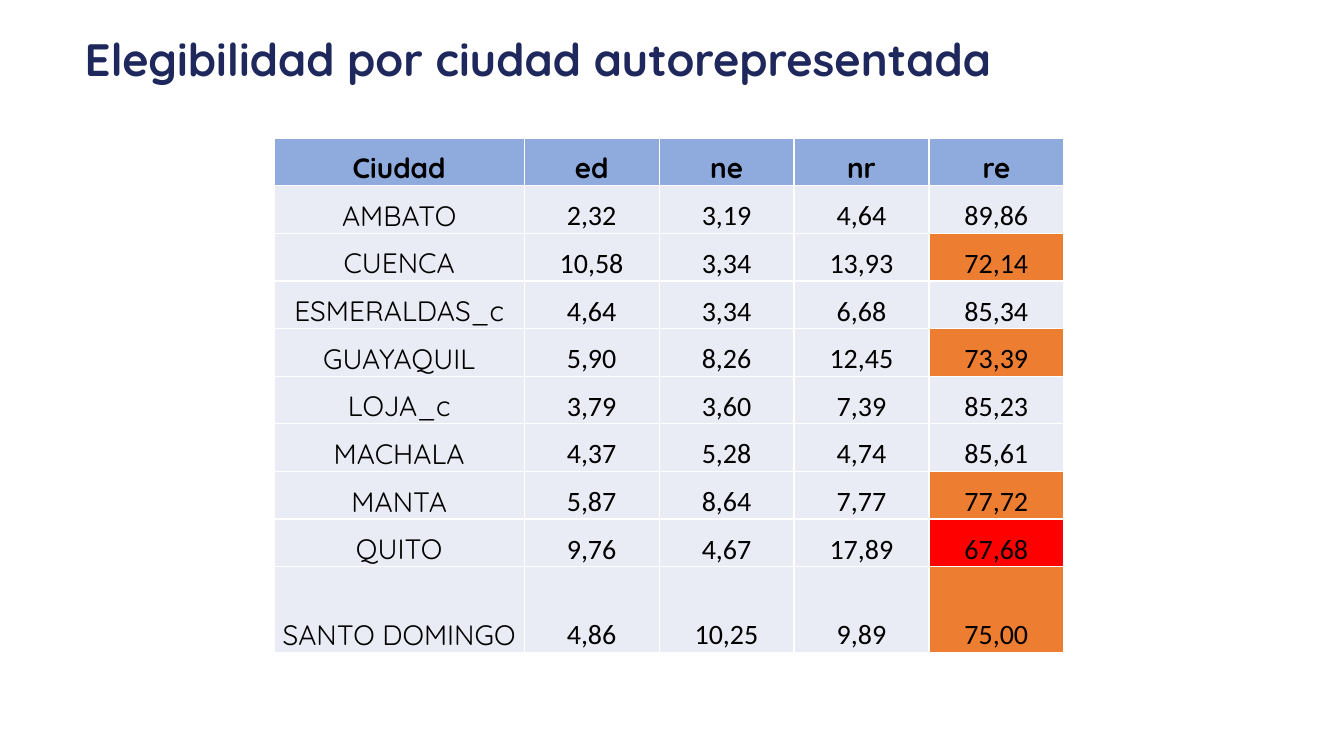
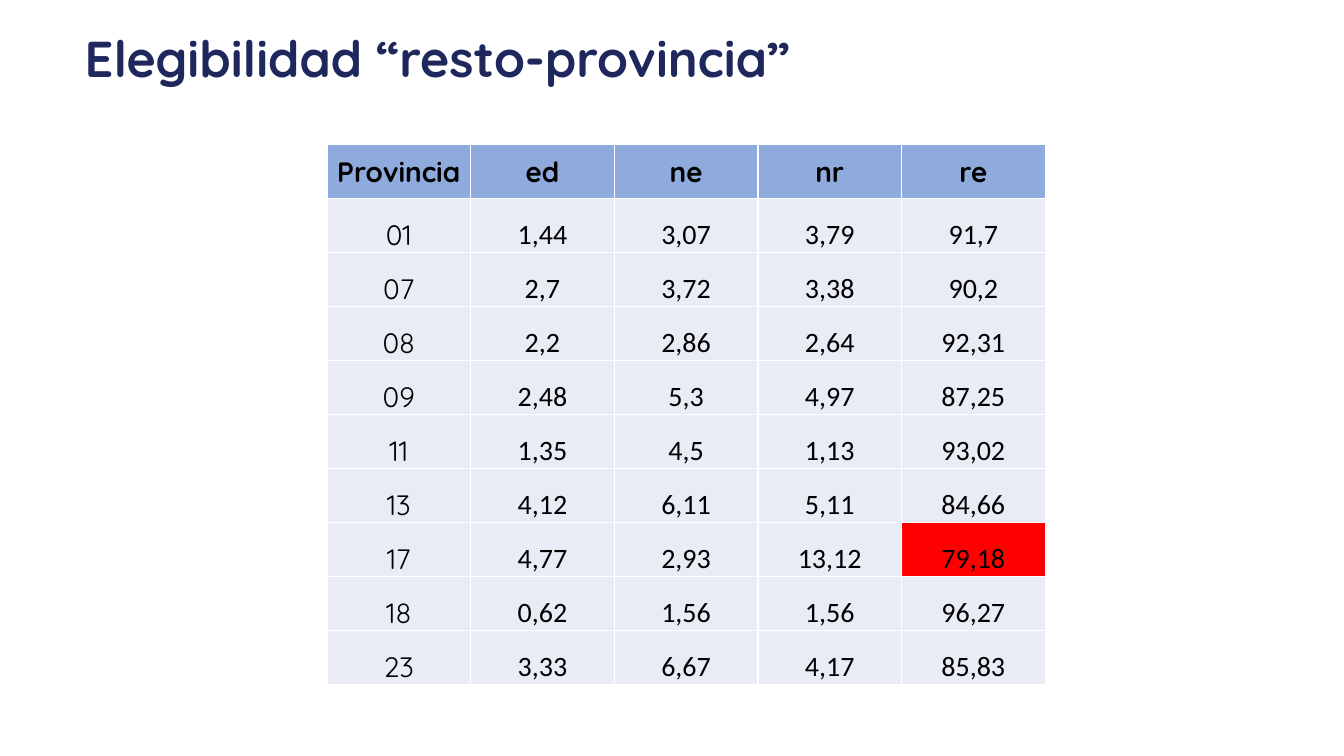
from dataclasses import dataclass

from lxml.etree import SubElement
from pptx import Presentation
from pptx.dml.color import RGBColor as Rgb
from pptx.enum.text import MSO_ANCHOR as Anchor, MSO_AUTO_SIZE as AutoSize, PP_ALIGN as Align
from pptx.oxml.ns import qn
from pptx.util import Cm, Pt


@dataclass(frozen=True)
class Theme:
    title: str = "1F285D"
    text: str = "000000"
    header: str = "8FAADC"
    body: str = "E9EBF5"
    low: str = "ED7D31"
    lowest: str = "FF0000"
    border: str = "FFFFFF"
    heading_font: str = "Quicksand"
    number_font: str = "Calibri"
    table_size: int = 20
    border_width: int = 1


theme = Theme()
LOW_LIMIT = 80  # response rates below this are highlighted

# Slide contents; lengths in centimetres
slides = [
    {
        "title": "Elegibilidad por ciudad autorepresentada",
        "title_size": 32.4,
        "left": 6.91, "top": 3.48,
        "widths": [6.3] + [3.4] * 4,
        "heights": [1.2] * 9 + [2.16],
        "header_anchor": Anchor.BOTTOM,
        "rows": [
            ("Ciudad", "ed", "ne", "nr", "re"),
            ("AMBATO", "2,32", "3,19", "4,64", "89,86"),
            ("CUENCA", "10,58", "3,34", "13,93", "72,14"),
            ("ESMERALDAS_c", "4,64", "3,34", "6,68", "85,34"),
            ("GUAYAQUIL", "5,90", "8,26", "12,45", "73,39"),
            ("LOJA_c", "3,79", "3,60", "7,39", "85,23"),
            ("MACHALA", "4,37", "5,28", "4,74", "85,61"),
            ("MANTA", "5,87", "8,64", "7,77", "77,72"),
            ("QUITO", "9,76", "4,67", "17,89", "67,68"),
            ("SANTO DOMINGO", "4,86", "10,25", "9,89", "75,00"),
        ],
    },
    {
        "title": "Elegibilidad “resto-provincia”",
        "title_size": 36,
        "left": 8.24, "top": 3.64,
        "widths": [3.62] * 5,
        "heights": [1.36] * 10,
        "header_anchor": Anchor.MIDDLE,
        "rows": [
            ("Provincia", "ed", "ne", "nr", "re"),
            ("01", "1,44", "3,07", "3,79", "91,7"),
            ("07", "2,7", "3,72", "3,38", "90,2"),
            ("08", "2,2", "2,86", "2,64", "92,31"),
            ("09", "2,48", "5,3", "4,97", "87,25"),
            ("11", "1,35", "4,5", "1,13", "93,02"),
            ("13", "4,12", "6,11", "5,11", "84,66"),
            ("17", "4,77", "2,93", "13,12", "79,18"),
            ("18", "0,62", "1,56", "1,56", "96,27"),
            ("23", "3,33", "6,67", "4,17", "85,83"),
        ],
    },
]


def write(para, text, color, **formats):
    """Put one formatted span of text in a paragraph."""
    span = para.add_run()
    span.text = text
    for name, value in formats.items():
        setattr(span.font, name, value)
    span.font.color.rgb = Rgb.from_string(color)


def add_borders(cell):
    """Draw the four sides of a table cell."""
    properties = cell._tc.get_or_add_tcPr()
    for side in ("a:lnL", "a:lnR", "a:lnT", "a:lnB"):
        line = SubElement(properties, qn(side), w=str(Pt(theme.border_width)))
        fill = SubElement(line, qn("a:solidFill"))
        SubElement(fill, qn("a:srgbClr"), val=theme.border)


deck = Presentation()
deck.slide_width, deck.slide_height = Cm(33.87), Cm(19.05)

for content in slides:
    page = deck.slides.add_slide(deck.slide_layouts[5])

    # Title
    title = page.shapes.title
    title.left, title.top, title.width, title.height = Cm(1.88), Cm(0.61), Cm(24.49), Cm(1.88)
    frame = title.text_frame
    frame.auto_size = AutoSize.NONE
    frame.word_wrap = True
    frame.vertical_anchor = Anchor.MIDDLE
    para = frame.paragraphs[0]
    para.alignment = Align.LEFT
    para.line_spacing = 0.9
    write(para, content["title"], theme.title, name=theme.heading_font,
          size=Pt(content["title_size"]), bold=True)

    # Table grid
    rows, widths, heights = content["rows"], content["widths"], content["heights"]
    table = page.shapes.add_table(
        len(rows), len(widths), Cm(content["left"]), Cm(content["top"]),
        Cm(sum(widths)), Cm(sum(heights))).table
    table.first_row = table.horz_banding = False
    for column, width in zip(table.columns, widths):
        column.width = Cm(width)
    for row, height in zip(table.rows, heights):
        row.height = Cm(height)

    # Table cells: the lowest rate and the other low rates stand out
    rates = [float(row[-1].replace(",", ".")) for row in rows[1:]]
    for r, row in enumerate(rows):
        for c, text in enumerate(row):
            is_header = r == 0
            fill = theme.header if is_header else theme.body
            if not is_header and c == len(row) - 1 and rates[r - 1] < LOW_LIMIT:
                fill = theme.lowest if rates[r - 1] == min(rates) else theme.low
            cell = table.cell(r, c)
            add_borders(cell)
            cell.fill.solid()
            cell.fill.fore_color.rgb = Rgb.from_string(fill)
            formats = {
                "margin_left": Cm(0.03), "margin_right": Cm(0.03),
                "margin_top": Cm(0.03), "margin_bottom": 0,
                "vertical_anchor": content["header_anchor"] if is_header else Anchor.BOTTOM,
            }
            for name, value in formats.items():
                setattr(cell, name, value)
            para = cell.text_frame.paragraphs[0]
            para.alignment = Align.CENTER
            font = theme.heading_font if is_header or c == 0 else theme.number_font
            write(para, text, theme.text, name=font, size=Pt(theme.table_size), bold=is_header)

deck.save("out.pptx")
